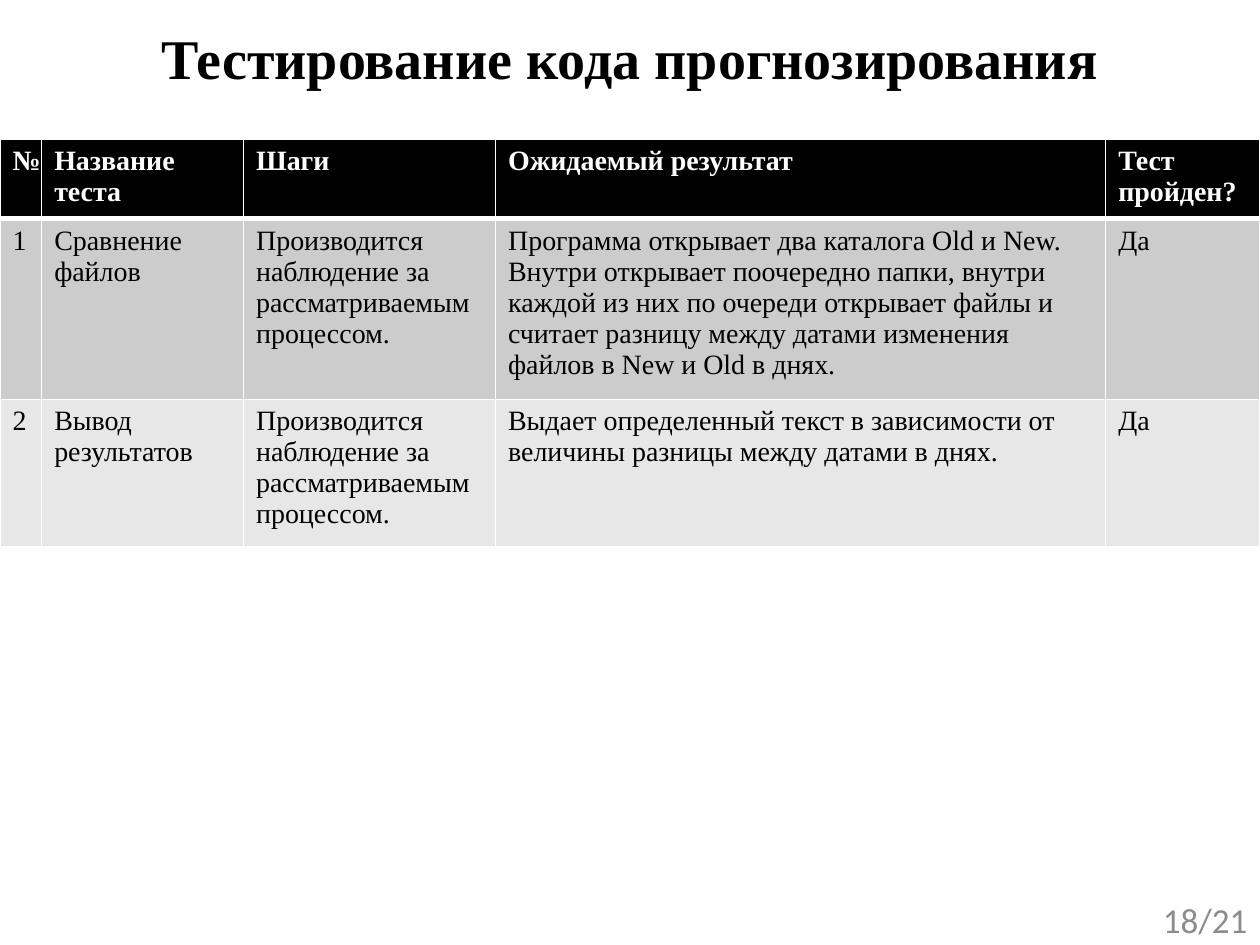
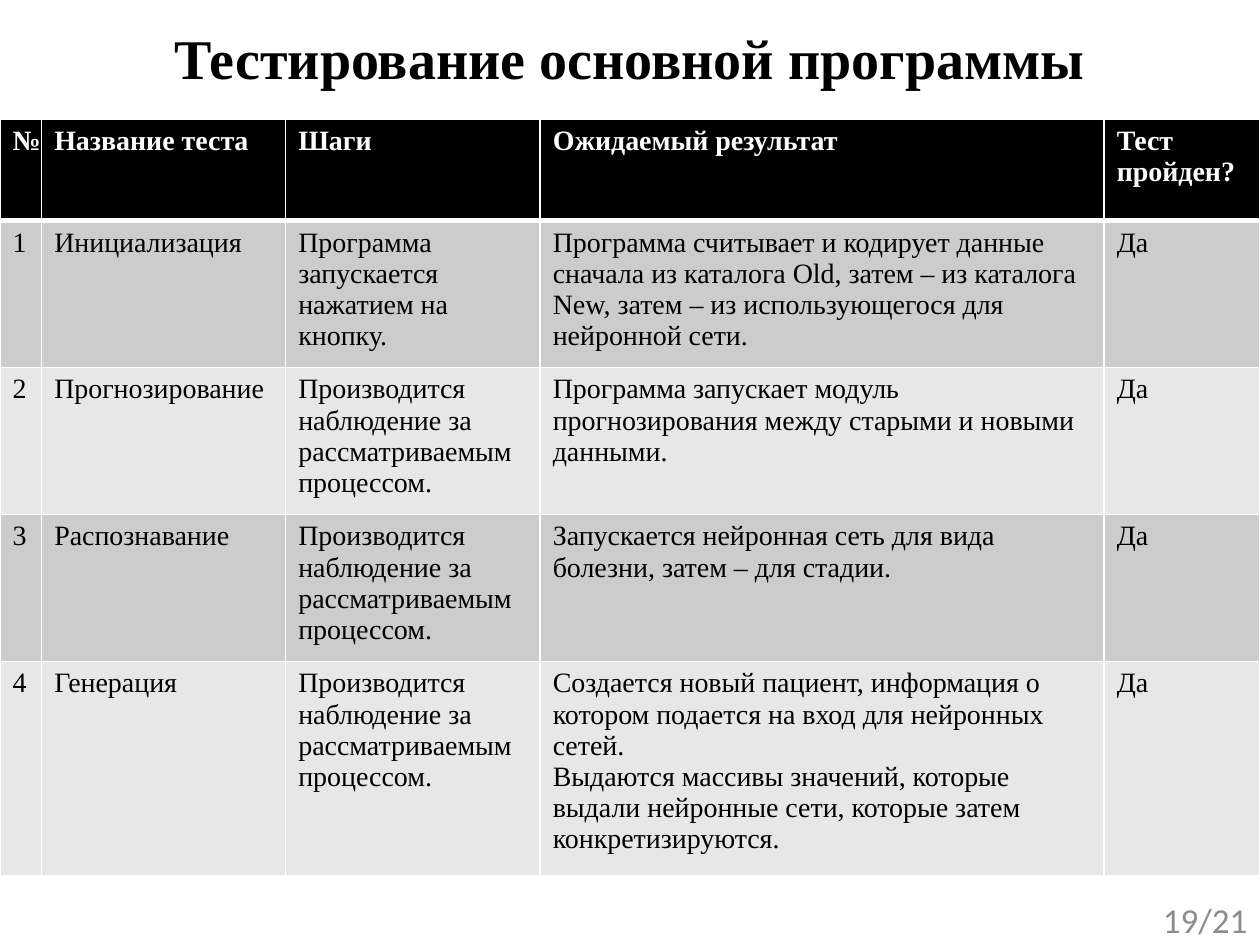
from lxml.etree import SubElement
from pptx import Presentation
from pptx.dml.color import RGBColor
from pptx.enum.text import MSO_ANCHOR, PP_ALIGN
from pptx.oxml.ns import qn
from pptx.util import Cm, Pt

COLORS = {
    "text": "000000",
    "header": "000000",
    "header_text": "FFFFFF",
    "odd_row": "CCCCCC",
    "even_row": "E7E7E7",
    "grid": "FFFFFF",
    "page_number": "8C8C8C",
}
SERIF, SANS = "Times New Roman", "Calibri"
SLIDE_WIDTH, SLIDE_HEIGHT = 25.4, 19.05
TOTAL_PAGES = 21

HEADINGS = ("№", "Название теста", "Шаги", "Ожидаемый результат", "Тест пройден?")
OBSERVE = "Производится наблюдение за рассматриваемым процессом."
PASSED = "Да"

# Each test: name, steps, expected result; lengths in centimetres
SLIDES = [
    {
        "title": "Тестирование кода прогнозирования",
        "page": 18,
        "table_top": 2.8,
        "columns": (0.84, 4.07, 5.08, 12.3, 3.11),
        "rows": (1.5, 3.38, 2.75),
        "tests": [
            ("Сравнение файлов", OBSERVE,
             "Программа открывает два каталога Old и New. Внутри открывает "
             "поочередно папки, внутри каждой из них по очереди открывает файлы "
             "и считает разницу между датами изменения файлов в New и Old в днях."),
            ("Вывод результатов", OBSERVE,
             "Выдает определенный текст в зависимости от величины разницы "
             "между датами в днях."),
        ],
    },
    {
        "title": "Тестирование основной программы",
        "page": 19,
        "table_top": 2.4,
        "columns": (0.84, 4.92, 5.13, 11.37, 3.14),
        "rows": (2.05, 2.75, 2.75, 2.75, 4),
        "tests": [
            ("Инициализация", "Программа запускается нажатием на кнопку.",
             "Программа считывает и кодирует данные сначала из каталога Old, "
             "затем – из каталога New, затем – из использующегося для нейронной сети."),
            ("Прогнозирование", OBSERVE,
             "Программа запускает модуль прогнозирования между старыми "
             "и новыми данными."),
            ("Распознавание", OBSERVE,
             "Запускается нейронная сеть для вида болезни, затем – для стадии."),
            ("Генерация", OBSERVE,
             "Создается новый пациент, информация о котором подается на вход "
             "для нейронных сетей.\n"
             "Выдаются массивы значений, которые выдали нейронные сети, "
             "которые затем конкретизируются."),
        ],
    },
]


def write(frame, text, font, size, color, bold=False, align=PP_ALIGN.LEFT):
    frame.text = text
    for paragraph in frame.paragraphs:
        paragraph.alignment = align
        for run in paragraph.runs:
            run.font.name = font
            run.font.size = Pt(size)
            run.font.bold = bold
            run.font.color.rgb = RGBColor.from_string(COLORS[color])


def add_label(slide, box, text, **style):
    frame = slide.shapes.add_textbox(*map(Cm, box)).text_frame
    frame.word_wrap = True
    frame.vertical_anchor = MSO_ANCHOR.MIDDLE
    write(frame, text, **style)


def set_borders(cell, top, bottom):
    """Draw the four cell edges; top and bottom are widths in points."""
    properties = cell._tc.get_or_add_tcPr()
    for edge, width in (("lnL", 1), ("lnR", 1), ("lnT", top), ("lnB", bottom)):
        line = SubElement(properties, qn(f"a:{edge}"), w=str(Pt(width)))
        fill = SubElement(line, qn("a:solidFill"))
        SubElement(fill, qn("a:srgbClr"), val=COLORS["grid"])


def add_test_table(slide, top, columns, rows, tests):
    records = [HEADINGS]
    records += [(str(number), *test, PASSED) for number, test in enumerate(tests, 1)]
    table = slide.shapes.add_table(
        len(rows), len(columns), 0, Cm(top), Cm(SLIDE_WIDTH), Cm(sum(rows))
    ).table
    for column, width in zip(table.columns, columns):
        column.width = Cm(width)
    for index, (row, height, record) in enumerate(zip(table.rows, rows, records)):
        row.height = Cm(height)
        is_header = index == 0
        band = "header" if is_header else "odd_row" if index % 2 else "even_row"
        for cell, text in zip(row.cells, record):
            write(cell.text_frame, text, SERIF, 16,
                  "header_text" if is_header else "text", bold=is_header)
            set_borders(cell, top=3 if index == 1 else 1, bottom=3 if is_header else 1)
            cell.fill.solid()
            cell.fill.fore_color.rgb = RGBColor.from_string(COLORS[band])


def main():
    deck = Presentation()
    deck.slide_width, deck.slide_height = Cm(SLIDE_WIDTH), Cm(SLIDE_HEIGHT)
    blank = deck.slide_layouts[6]
    for content in SLIDES:
        slide = deck.slides.add_slide(blank)
        add_label(slide, (0, 0.03, SLIDE_WIDTH, 2.26), content["title"],
                  font=SERIF, size=32, color="text", bold=True, align=PP_ALIGN.CENTER)
        add_label(slide, (19.69, 18.03, 5.71, 1.02), f"{content['page']}/{TOTAL_PAGES}",
                  font=SANS, size=20, color="page_number", align=PP_ALIGN.RIGHT)
        add_test_table(slide, content["table_top"], content["columns"],
                       content["rows"], content["tests"])
    deck.save("out.pptx")


if __name__ == "__main__":
    main()
